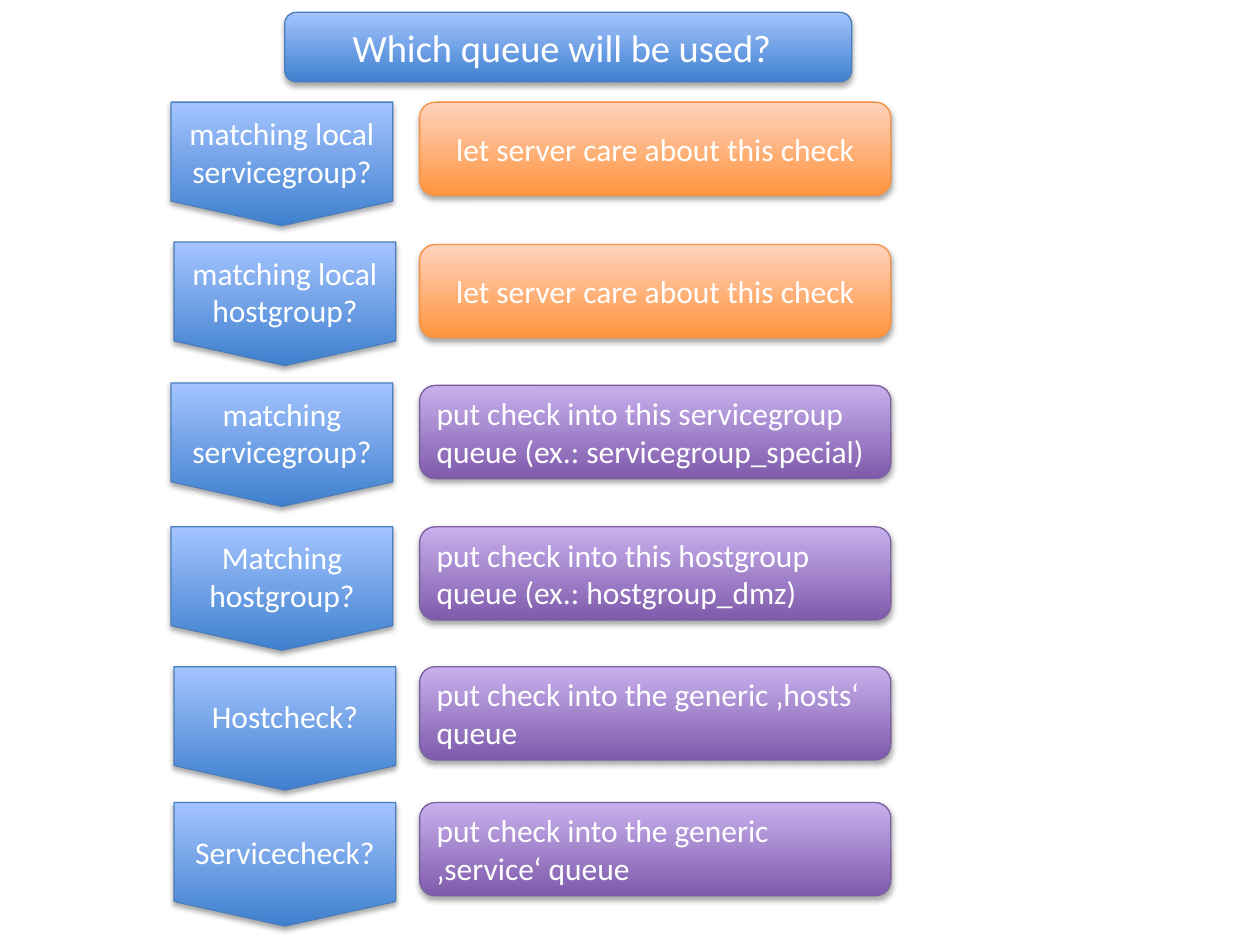
import pptx
import pptx.util
import pptx.dml.color
import pptx.enum.shapes
import pptx.enum.text
import lxml.etree
from pptx.util import Cm

COLORS = {
    "blue": ("3F80CE", "A4C4FF", "4B7EBC"),
    "orange": ("FF953E", "FFD2BD", "F69240"),
    "purple": ("7F5BAB", "C8B0ED", "7D60A0"),
    "text": "FFFFFF",
    "shadow": "000000",
}
ROUNDED = pptx.enum.shapes.MSO_SHAPE.ROUNDED_RECTANGLE
OFFPAGE = pptx.enum.shapes.MSO_SHAPE.FLOWCHART_OFFPAGE_CONNECTOR
CENTER = pptx.enum.text.PP_ALIGN.CENTER
LEFT = pptx.enum.text.PP_ALIGN.LEFT


def add_shadow(shape):
    shape.shadow.inherit = False
    effects = shape._element.spPr.find(pptx.oxml.ns.qn("a:effectLst"))
    shadow = lxml.etree.SubElement(
        effects, pptx.oxml.ns.qn("a:outerShdw"),
        blurRad="40000", dist="23000", dir="5400000", rotWithShape="0")
    color = lxml.etree.SubElement(
        shadow, pptx.oxml.ns.qn("a:srgbClr"), val=COLORS["shadow"])
    lxml.etree.SubElement(color, pptx.oxml.ns.qn("a:alpha"), val="35000")


def add_box(kind, left, top, width, height, text, color, alignment=CENTER, size=18):
    shape = slide.shapes.add_shape(kind, Cm(left), Cm(top), Cm(width), Cm(height))
    bottom_color, top_color, line_color = COLORS[color]
    shape.fill.gradient()
    shape.fill.gradient_angle = 90
    for stop, value in zip(shape.fill.gradient_stops, (bottom_color, top_color)):
        stop.color.rgb = pptx.dml.color.RGBColor.from_string(value)
    shape.line.color.rgb = pptx.dml.color.RGBColor.from_string(line_color)
    shape.line.width = pptx.util.Pt(0.75)
    add_shadow(shape)
    text_frame = shape.text_frame
    text_frame.word_wrap = True
    text_frame.vertical_anchor = pptx.enum.text.MSO_ANCHOR.MIDDLE
    text_frame.text = text
    paragraph = text_frame.paragraphs[0]
    paragraph.alignment = alignment
    font = paragraph.runs[0].font
    font.name = "Calibri"
    font.size = pptx.util.Pt(size)
    font.color.rgb = pptx.dml.color.RGBColor.from_string(COLORS["text"])
    return shape


presentation = pptx.Presentation()
presentation.slide_width = Cm(25.4)
presentation.slide_height = Cm(19.05)
slide = presentation.slides.add_slide(presentation.slide_layouts[6])

title = add_box(ROUNDED, 5.74, 0.25, 11.43, 1.4, "Which queue will be used?", "blue", size=22)
title.text_frame.margin_left = 0
title.text_frame.margin_top = 0
title.text_frame.margin_bottom = 0

local_action = "let server care about this check"
steps = [
    (3.45, 2.06, "matching local servicegroup?", 2.06, local_action, "orange", CENTER),
    (3.51, 4.88, "matching local hostgroup?", 4.93, local_action, "orange", CENTER),
    (3.45, 7.72, "matching servicegroup?", 7.77,
     "put check into this servicegroup queue (ex.: servicegroup_special)", "purple", LEFT),
    (3.45, 10.62, "Matching hostgroup?", 10.62,
     "put check into this hostgroup queue (ex.: hostgroup_dmz)", "purple", LEFT),
    (3.51, 13.44, "Hostcheck?", 13.44,
     "put check into the generic ‚hosts‘ queue", "purple", LEFT),
    (3.51, 16.18, "Servicecheck?", 16.18,
     "put check into the generic ‚service‘ queue", "purple", LEFT),
]
for question_left, question_top, question, action_top, action, color, alignment in steps:
    add_box(ROUNDED, 8.46, action_top, 9.5, 1.88, action, color, alignment)
    add_box(OFFPAGE, question_left, question_top, 4.47, 2.49, question, "blue")

presentation.save("out.pptx")
